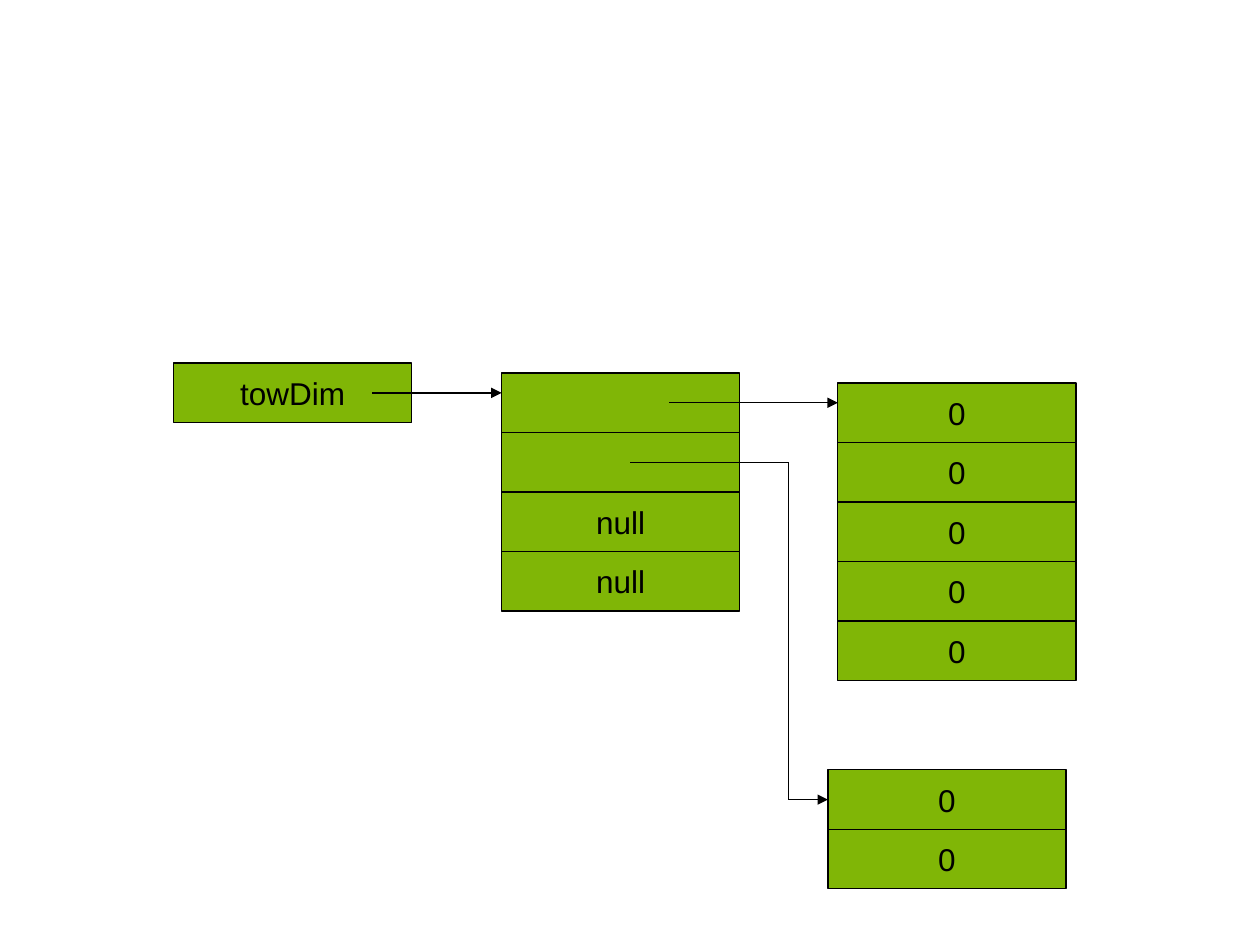
from lxml import etree
from pptx import Presentation
from pptx import util as u
from pptx.dml.color import RGBColor
from pptx.enum import shapes, text
from pptx.oxml.ns import qn

COLORS = {"cell": "80B606", "ink": "000000"}
FONT = {"name": "Arial", "size": u.Pt(18)}
FRAME = {"word_wrap": False, "vertical_anchor": text.MSO_ANCHOR.MIDDLE}
LINE_WIDTH = u.Pt(0.75)

# Lengths in centimetres
CELL_WIDTH, CELL_HEIGHT = 4.8, 1.2
STACKS = [  # left, top, cell values from top to bottom
    (3.5, 7.32, ["towDim"]),
    (10.11, 7.52, ["", "", "null", "null"]),
    (16.89, 7.72, ["0"] * 5),
    (16.69, 15.52, ["0"] * 2),
]
ARROWS = [  # corner points; the head is at the last one
    [(7.5, 7.92), (10.11, 7.92)],
    [(13.49, 8.12), (16.89, 8.12)],
    [(12.7, 9.32), (15.9, 9.32), (15.9, 16.12), (16.69, 16.12)],
]


def color(name):
    """Return the named colour."""
    return RGBColor.from_string(COLORS[name])


def apply(target, values):
    """Set each attribute in values on target."""
    for name, value in values.items():
        setattr(target, name, value)


def outline(line):
    """Give a line the common colour and width."""
    line.color.rgb = color("ink")
    line.width = LINE_WIDTH


def add_cell(page, left, top, label):
    """Draw one array cell with its value."""
    lengths = map(u.Cm, (left, top, CELL_WIDTH, CELL_HEIGHT))
    box = page.shapes.add_shape(shapes.MSO_SHAPE.RECTANGLE, *lengths)
    box.shadow.inherit = False
    box.fill.solid()
    box.fill.fore_color.rgb = color("cell")
    outline(box.line)
    if label:
        apply(box.text_frame, FRAME)
        para = box.text_frame.paragraphs[0]
        para.alignment = text.PP_ALIGN.CENTER
        span = para.add_run()
        span.text = label
        apply(span.font, FONT)
        span.font.color.rgb = color("ink")


def add_arrow(page, points):
    """Join the points with lines and put a head on the last one."""
    for start, end in zip(points, points[1:]):
        link = page.shapes.add_connector(
            shapes.MSO_CONNECTOR.STRAIGHT, *map(u.Cm, start + end))
        outline(link.line)
        etree.SubElement(link._element.spPr, qn("a:effectLst"))
    head = etree.SubElement(link.line._get_or_add_ln(), qn("a:tailEnd"))
    head.set("type", "triangle")


deck = Presentation()
deck.slide_width, deck.slide_height = u.Cm(25.4), u.Cm(19.05)
page = deck.slides.add_slide(deck.slide_layouts[6])

for left, top, values in STACKS:
    for row, label in enumerate(values):
        add_cell(page, left, top + row * CELL_HEIGHT, label)
for points in ARROWS:
    add_arrow(page, points)

deck.save("out.pptx")
